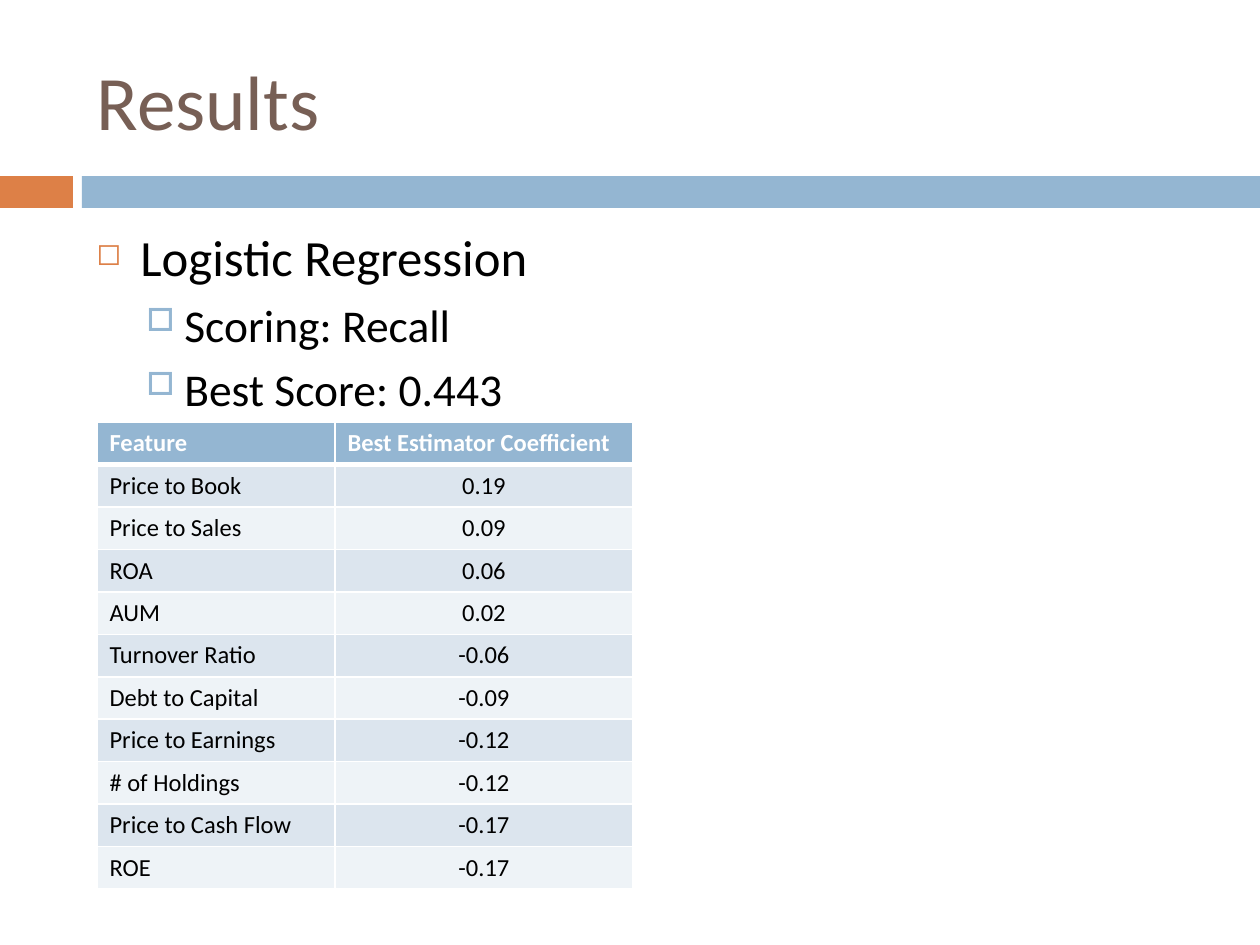
"""Build the logistic regression results slide."""
from dataclasses import dataclass

from lxml.etree import SubElement
from pptx import Presentation
from pptx.dml.color import RGBColor
from pptx.enum.shapes import MSO_SHAPE
from pptx.enum.text import MSO_ANCHOR, MSO_AUTO_SIZE, PP_ALIGN
from pptx.oxml.ns import qn
from pptx.util import Pt

SCALE = 914400 / 126


@dataclass(frozen=True)
class Theme:
    font: str = "Calibri"
    title: str = "775F55"
    text: str = "000000"
    white: str = "FFFFFF"
    orange: str = "DD8047"
    blue: str = "94B6D2"
    bands: tuple = ("DCE5EE", "EEF3F7")
    title_size: int = 44
    heading_size: int = 29
    detail_size: int = 26
    table_size: int = 14


theme = Theme()


def px(*lengths):
    return [round(length * SCALE) for length in lengths]


def format_paragraph(paragraph, size, color, bold=False, alignment=PP_ALIGN.LEFT):
    paragraph.alignment = alignment
    for run in paragraph.runs:
        run.font.name = theme.font
        run.font.size = Pt(size)
        run.font.bold = bold
        run.font.color.rgb = RGBColor.from_string(color)


presentation = Presentation()
presentation.slide_width, presentation.slide_height = px(1260, 945)
slide = presentation.slides.add_slide(presentation.slide_layouts[5])

for left, width, color in ((0, 73, theme.orange), (82, 1178, theme.blue)):
    bar = slide.shapes.add_shape(MSO_SHAPE.RECTANGLE, *px(left, 176, width, 32))
    bar.shadow.inherit = False
    bar.fill.solid()
    bar.fill.fore_color.rgb = RGBColor.from_string(color)
    bar.line.fill.background()

title = slide.shapes.title
title.left, title.top, title.width, title.height = px(84, 32, 1124, 136)
title.text_frame.text = "Results"
title.text_frame.auto_size = MSO_AUTO_SIZE.NONE
title.text_frame.vertical_anchor = MSO_ANCHOR.MIDDLE
format_paragraph(title.text_frame.paragraphs[0], theme.title_size, theme.title)

rows = (
    ("Feature", "Best Estimator Coefficient"),
    ("Price to Book", "0.19"),
    ("Price to Sales", "0.09"),
    ("ROA", "0.06"),
    ("AUM", "0.02"),
    ("Turnover Ratio", "-0.06"),
    ("Debt to Capital", "-0.09"),
    ("Price to Earnings", "-0.12"),
    ("# of Holdings", "-0.12"),
    ("Price to Cash Flow", "-0.17"),
    ("ROE", "-0.17"),
)
table_frame = slide.shapes.add_table(len(rows), 2, *px(97, 422, 536, 42 * len(rows)))
table = table_frame.table
table.horz_banding = False
for column, width in zip(table.columns, px(238, 298)):
    column.width = width

for row_index, row in enumerate(rows):
    header = row_index == 0
    fill_color = theme.blue if header else theme.bands[(row_index - 1) % 2]
    text_color = theme.white if header else theme.text
    borders = {"lnL": 1, "lnR": 1, "lnT": 3 if row_index == 1 else 1, "lnB": 3 if header else 1}
    for column_index, text in enumerate(row):
        cell = table.cell(row_index, column_index)
        cell.text_frame.text = text
        centered = column_index == 1 and not header
        alignment = PP_ALIGN.CENTER if centered else PP_ALIGN.LEFT
        format_paragraph(cell.text_frame.paragraphs[0], theme.table_size, text_color, header, alignment)
        properties = cell._tc.get_or_add_tcPr()
        for side, points in borders.items():
            border = SubElement(properties, qn(f"a:{side}"), w=str(Pt(points)))
            SubElement(SubElement(border, qn("a:solidFill")), qn("a:srgbClr"), val=theme.white)
        cell.fill.solid()
        cell.fill.fore_color.rgb = RGBColor.from_string(fill_color)

bullet_styles = (
    (44, -44, 7, "◻", theme.orange, 60, theme.heading_size),
    (88, -38, 5.5, "□", theme.blue, 70, theme.detail_size),
)
body = slide.shapes.add_textbox(*px(84, 220, 1124, 202))
body.text_frame.word_wrap = True
body.text_frame.text = "Logistic Regression\nScoring: Recall\nBest Score: 0.443"
for paragraph, level in zip(body.text_frame.paragraphs, (0, 1, 1)):
    margin, indent, space, symbol, color, percent, size = bullet_styles[level]
    paragraph.level = level
    paragraph.space_before = Pt(space)
    format_paragraph(paragraph, size, theme.text)
    properties = paragraph._p.get_or_add_pPr()
    for name, length in zip(("marL", "indent"), px(margin, indent)):
        properties.set(name, str(length))
    SubElement(SubElement(properties, qn("a:buClr")), qn("a:srgbClr"), val=color)
    SubElement(properties, qn("a:buSzPct"), val=str(percent * 1000))
    SubElement(properties, qn("a:buChar"), char=symbol)

presentation.save("out.pptx")
